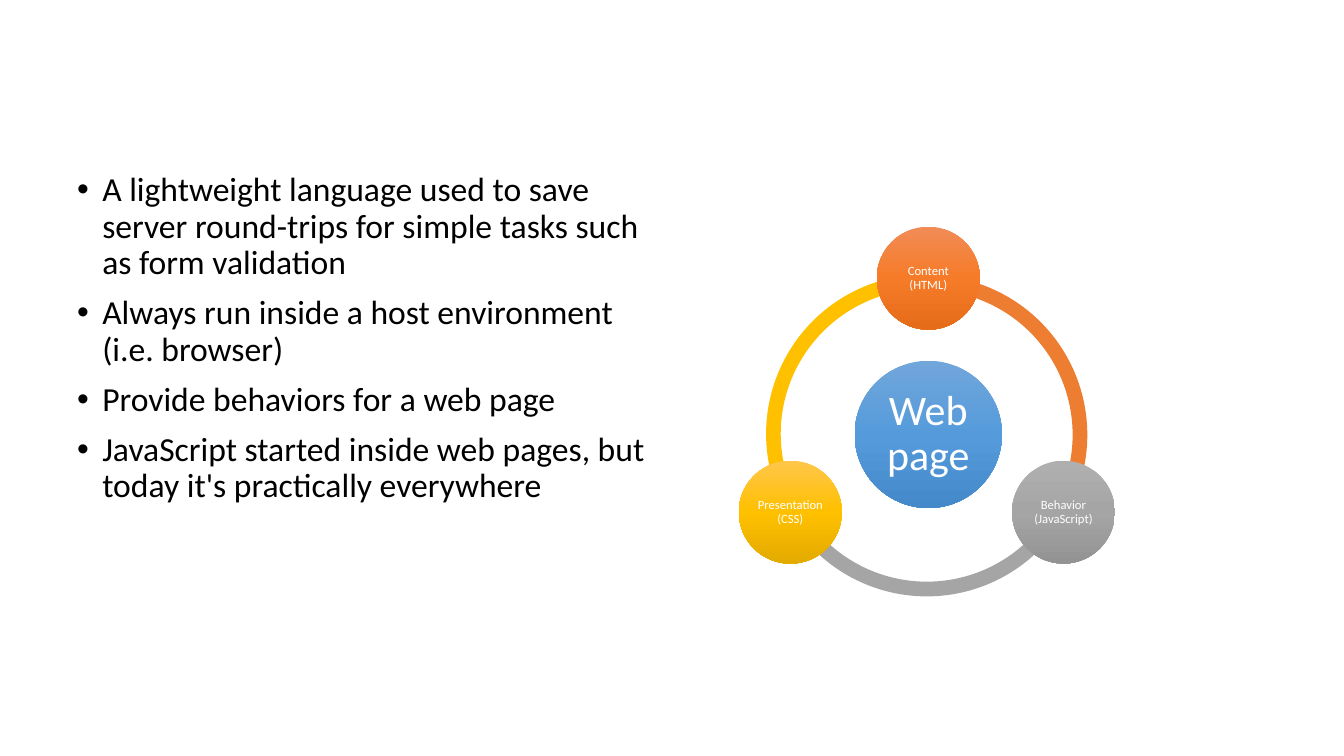
import copy
import dataclasses

import pptx
import pptx.dml.color
import pptx.enum.shapes
import pptx.enum.text
import pptx.oxml.ns
import pptx.oxml.xmlchemy
import pptx.shapes.autoshape
import pptx.slide
import pptx.util
from lxml import etree

Pt = pptx.util.Pt
RGBColor = pptx.dml.color.RGBColor
SHAPE = pptx.enum.shapes.MSO_SHAPE
qn = pptx.oxml.ns.qn

FONT = "Calibri"
BLACK = RGBColor(0x00, 0x00, 0x00)
WHITE = RGBColor(0xFF, 0xFF, 0xFF)
YELLOW = RGBColor(0xFF, 0xC0, 0x00)
GRAY = RGBColor(0xA5, 0xA5, 0xA5)
ORANGE = RGBColor(0xED, 0x7D, 0x31)
BLUE_SHADES = (RGBColor(0x71, 0xA6, 0xDB), RGBColor(0x55, 0x9B, 0xDB), RGBColor(0x44, 0x8A, 0xCA))
ORANGE_SHADES = (RGBColor(0xF1, 0x8C, 0x57), RGBColor(0xF6, 0x7B, 0x28), RGBColor(0xE5, 0x6C, 0x19))
GRAY_SHADES = (RGBColor(0xAF, 0xAF, 0xAF), GRAY, RGBColor(0x93, 0x93, 0x93))
YELLOW_SHADES = (RGBColor(0xFF, 0xC6, 0x4B), YELLOW, RGBColor(0xE3, 0xAB, 0x00))

RING_SIZE = 228
RING_THICKNESS = 0.046
ADJUSTMENT_PER_DEGREE = 0.6
HUB_SIZE = 105.2
SATELLITE_SIZE = 73.5
LINE_SPACING = 0.9


@dataclasses.dataclass(frozen=True)
class RingArc:
    center_x: float
    center_y: float
    start_degrees: float
    end_degrees: float
    color: RGBColor


@dataclasses.dataclass(frozen=True)
class Circle:
    label: str
    center_x: float
    center_y: float
    size: float
    font_size: float
    inset: float
    shades: tuple[RGBColor, RGBColor, RGBColor]


POINTS = (
    "A lightweight language used to save server round-trips for simple tasks such as form validation",
    "Always run inside a host environment (i.e. browser)",
    "Provide behaviors for a web page",
    "JavaScript started inside web pages, but today it's practically everywhere",
)
RING_ARCS = (
    RingArc(661.2, 309.9, 150.1, 271.1, YELLOW),
    RingArc(662, 312, 28.9, 151.2, GRAY),
    RingArc(662.7, 310.6, 270, 30, ORANGE),
)
CIRCLES = (
    Circle("Web page", 663.1, 310.3, HUB_SIZE, 30, 2.88, BLUE_SHADES),
    Circle("Content (HTML)", 663.1, 198.7, SATELLITE_SIZE, 9, 0.72, ORANGE_SHADES),
    Circle("Behavior (JavaScript)", 759.6, 365.8, SATELLITE_SIZE, 9, 0.72, GRAY_SHADES),
    Circle("Presentation (CSS)", 564.5, 365.8, SATELLITE_SIZE, 9, 0.72, YELLOW_SHADES),
)


def add_centered(slide: pptx.slide.Slide, kind: SHAPE, center_x: float, center_y: float,
                 size: float) -> pptx.shapes.autoshape.Shape:
    shape = slide.shapes.add_shape(
        kind, Pt(center_x - size / 2), Pt(center_y - size / 2), Pt(size), Pt(size))
    shape.shadow.inherit = False
    shape.line.fill.background()
    return shape


def add_ring_arc(slide: pptx.slide.Slide, arc: RingArc) -> None:
    band = add_centered(slide, SHAPE.BLOCK_ARC, arc.center_x, arc.center_y, RING_SIZE)
    band.adjustments[0] = arc.start_degrees * ADJUSTMENT_PER_DEGREE
    band.adjustments[1] = arc.end_degrees * ADJUSTMENT_PER_DEGREE
    band.adjustments[2] = RING_THICKNESS
    band.fill.solid()
    band.fill.fore_color.rgb = arc.color


def shade(shape: pptx.shapes.autoshape.Shape, shades: tuple[RGBColor, ...]) -> None:
    shape.fill.gradient()
    shape.fill.gradient_angle = 270
    # The default gradient has two stops; a third one is needed
    stop_list = next(shape._element.iter(qn("a:gsLst")))
    stop_list.append(copy.deepcopy(stop_list[-1]))
    for stop, position, color in zip(shape.fill.gradient_stops, (0, 0.5, 1), shades):
        stop.position = position
        stop.color.rgb = color


def add_circle(slide: pptx.slide.Slide, circle: Circle) -> None:
    disc = add_centered(slide, SHAPE.OVAL, circle.center_x, circle.center_y, circle.size)
    shade(disc, circle.shades)
    frame = disc.text_frame
    frame.text = circle.label
    frame.word_wrap = True
    frame.vertical_anchor = pptx.enum.text.MSO_ANCHOR.MIDDLE
    frame.margin_left = frame.margin_right = Pt(circle.inset)
    frame.margin_top = frame.margin_bottom = Pt(circle.inset)
    label = frame.paragraphs[0]
    label.alignment = pptx.enum.text.PP_ALIGN.CENTER
    label.line_spacing = LINE_SPACING
    style_font(label.runs[0].font, circle.font_size, WHITE)


def style_font(font: "pptx.text.text.Font", size: float, color: RGBColor) -> None:
    font.name = FONT
    font.size = Pt(size)
    font.color.rgb = color


def add_points(slide: pptx.slide.Slide) -> None:
    body = slide.shapes.add_textbox(Pt(48), Pt(120), Pt(432), Pt(368.6))
    frame = body.text_frame
    frame.text = "\n".join(POINTS)
    frame.word_wrap = True
    for index, point in enumerate(frame.paragraphs):
        properties = point._p.get_or_add_pPr()
        properties.set("marL", str(Pt(18)))
        properties.set("indent", str(Pt(-18)))
        etree.SubElement(properties, qn("a:buFont"), typeface="Arial")
        etree.SubElement(properties, qn("a:buChar"), char="•")
        point.line_spacing = LINE_SPACING
        point.space_before = Pt(10 if index else 0)
        style_font(point.runs[0].font, 24, BLACK)


def main() -> None:
    presentation = pptx.Presentation()
    presentation.slide_width = Pt(960)
    presentation.slide_height = Pt(540)
    slide = presentation.slides.add_slide(presentation.slide_layouts[6])

    # Bulleted text on the left
    add_points(slide)

    # Ring of three arcs, then the hub and its satellites
    for arc in RING_ARCS:
        add_ring_arc(slide, arc)
    for circle in CIRCLES:
        add_circle(slide, circle)

    presentation.save("out.pptx")


if __name__ == "__main__":
    main()
